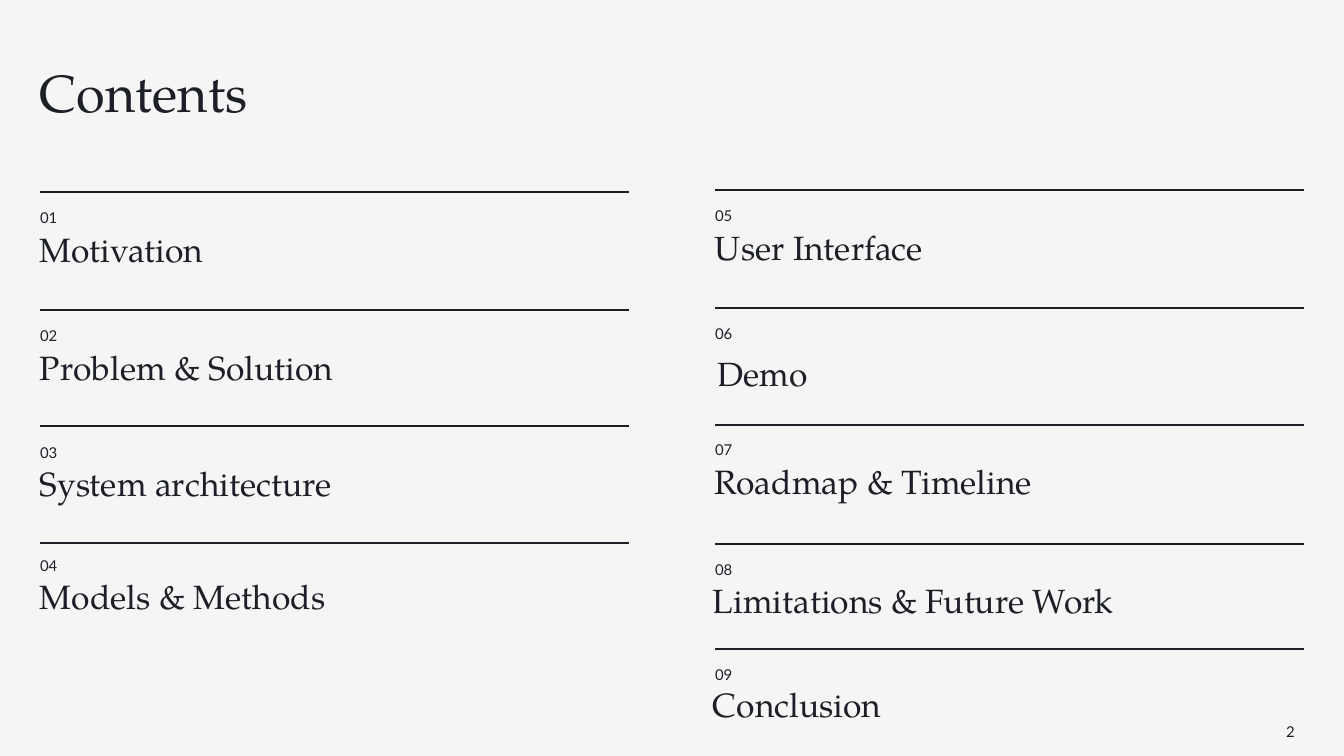
"""Build a two-column contents slide with ruled, numbered entries."""
from pptx import Presentation
from pptx.dml.color import RGBColor
from pptx.enum.shapes import MSO_CONNECTOR
from pptx.enum.text import MSO_ANCHOR, MSO_AUTO_SIZE
from pptx.oxml.ns import qn
from pptx.util import Pt
from lxml.etree import SubElement

SCALE = 914400 / 134.4
COLORS = {"background": "F5F5F5", "ink": "1C2026"}
SERIF, SANS = "TeX Gyre Pagella", "Lato"
RULE_WIDTH, HEADING_WIDTH, NUMBER_WIDTH = 589, 492, 266

# Each entry: heading, rule top, number top, heading top, heading indent
COLUMNS = [
    (40, [
        ("Motivation", 192, 206, 234, 0),
        ("Problem & Solution", 310, 324, 352, 0),
        ("System architecture", 426, 441, 468, 0),
        ("Models & Methods", 543, 554, 581, 0),
    ]),
    (715, [
        ("User Interface", 190, 204, 231, 0),
        ("Demo", 308, 322, 358, 3),
        ("Roadmap & Timeline", 425, 438, 466, 0),
        ("Limitations & Future Work", 544, 558, 585, -2),
        ("Conclusion", 649, 663, 689, -2),
    ]),
]


def px(value):
    return round(value * SCALE)


def add_text(slide, text, left, top, width, height, font, size, spacing, inset=0):
    box = slide.shapes.add_textbox(px(left), px(top), px(width), px(height))
    frame = box.text_frame
    frame.word_wrap = True
    frame.margin_left = frame.margin_right = px(inset)
    frame.margin_top = frame.margin_bottom = px(inset)
    frame.text = text
    para = frame.paragraphs[0]
    para.line_spacing = spacing
    span = para.runs[0]
    span.font.name = font
    span.font.size = Pt(size)
    span.font.color.rgb = RGBColor.from_string(COLORS["ink"])
    return frame


def add_heading(slide, text, left, top, width, height, size):
    frame = add_text(slide, text, left, top, width, height, SERIF, size, 0.9)
    frame.auto_size = MSO_AUTO_SIZE.SHAPE_TO_FIT_TEXT


def add_rule(slide, left, top):
    rule = slide.shapes.add_connector(
        MSO_CONNECTOR.STRAIGHT, px(left + RULE_WIDTH), px(top), px(left), px(top))
    rule.line.color.rgb = RGBColor.from_string(COLORS["ink"])
    rule.line.width = Pt(0.75)
    SubElement(rule._element.spPr, qn("a:effectLst"))


def main():
    deck = Presentation()
    deck.slide_width, deck.slide_height = px(1344), px(756)
    slide = deck.slides.add_slide(deck.slide_layouts[6])
    slide.background.fill.solid()
    slide.background.fill.fore_color.rgb = RGBColor.from_string(COLORS["background"])

    add_heading(slide, "Contents", 40, 67, 1264, 56, 28)
    number = 0
    for left, entries in COLUMNS:
        for heading, rule_top, number_top, heading_top, indent in entries:
            number += 1
            add_rule(slide, left, rule_top)
            add_text(slide, f"{number:02}", left, number_top,
                     NUMBER_WIDTH, 20, SANS, 8, 1.15)
            add_heading(slide, heading, left + indent, heading_top,
                        HEADING_WIDTH, 36, 18)

    page_number = add_text(slide, "2", 1273, 718, 50, 27, SANS, 8, 1.0, 13)
    page_number.vertical_anchor = MSO_ANCHOR.MIDDLE
    deck.save("out.pptx")


if __name__ == "__main__":
    main()
